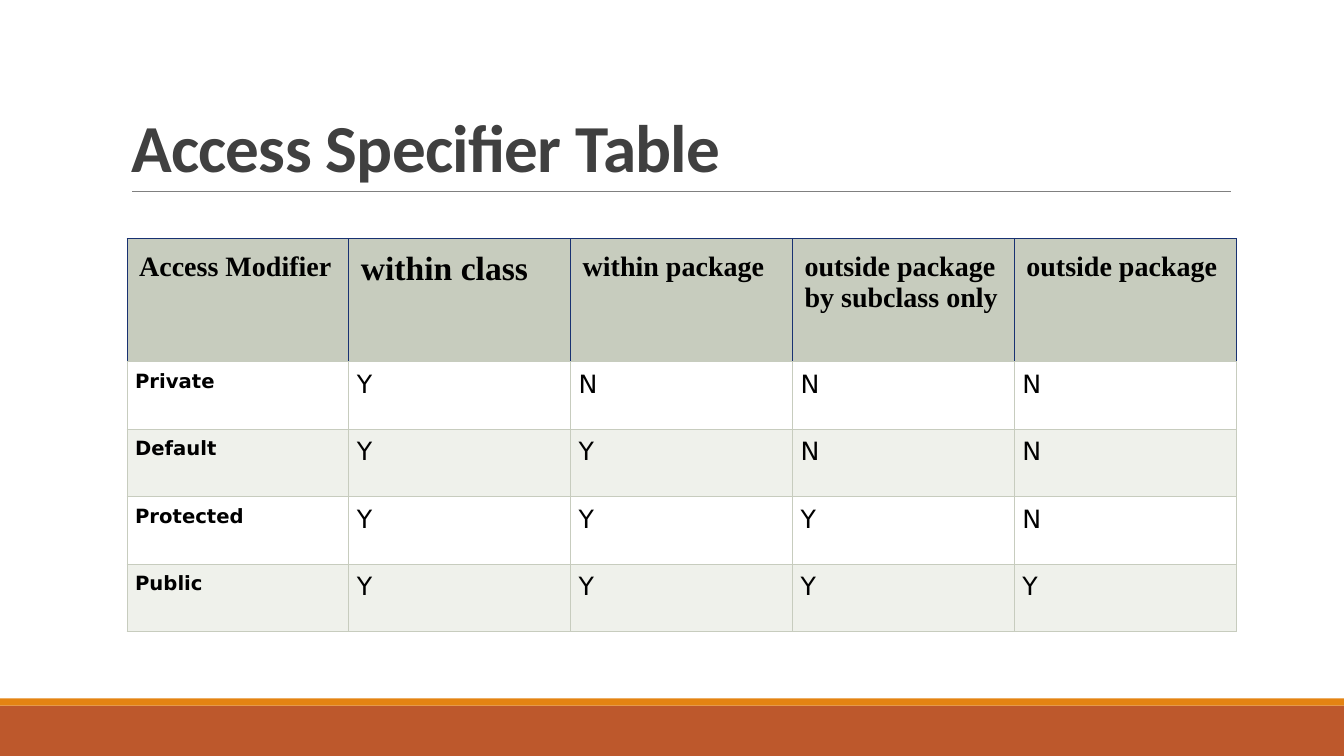
import pptx
import pptx.util
import pptx.dml.color
import pptx.enum.shapes
import pptx.enum.text
import pptx.oxml.ns
import lxml.etree

Inches = pptx.util.Inches
Pt = pptx.util.Pt

TITLE = "Access Specifier Table"
HEADS = [
    ("Access Modifier", 20),
    ("within class", 24),
    ("within package", 20),
    ("outside package by subclass only", 20),
    ("outside package", 20),
]
ROWS = [
    ("Private", "YNNN"),
    ("Default", "YYNN"),
    ("Protected", "YYYN"),
    ("Public", "YYYY"),
]
BANDS = [(7, 0.5, "BD582C"), (6.93, 0.07, "E48312")]
FILLS = ["FFFFFF", "EFF1EB"]
SAGE, NAVY = "C7CCBE", "183171"
WIDE, HIGH = 13.33, 7.5
COL, HEAD, ROW = 2.2, 1.22, 0.67


def color(code):
    return pptx.dml.color.RGBColor.from_string(code)


def add_run(para, text, size, face, code, bold):
    run = para.add_run()
    run.text = text
    font = run.font
    font.size, font.name, font.bold = Pt(size), face, bold
    font.color.rgb = color(code)
    return run


def add_edge(cell, side, code):
    props = cell._tc.get_or_add_tcPr()
    name = pptx.oxml.ns.qn("a:ln" + side)
    line = lxml.etree.SubElement(props, name, w=str(Pt(0.75)))
    fill = lxml.etree.SubElement(line, pptx.oxml.ns.qn("a:solidFill"))
    lxml.etree.SubElement(fill, pptx.oxml.ns.qn("a:srgbClr"), val=code)


def fill_cell(cell, text, size, face, bold, pad, back, edges):
    cell.margin_left = cell.margin_right = Inches(pad)
    cell.margin_top = cell.margin_bottom = Inches(pad)
    for side, code in zip("LRTB", edges):
        add_edge(cell, side, code)
    cell.fill.solid()
    cell.fill.fore_color.rgb = color(back)
    add_run(cell.text_frame.paragraphs[0], text, size, face, "000000", bold)


def add_bands(slide):
    for top, tall, code in BANDS:
        band = slide.shapes.add_shape(
            pptx.enum.shapes.MSO_SHAPE.RECTANGLE,
            0, Inches(top), Inches(WIDE), Inches(tall))
        band.shadow.inherit = False
        band.fill.solid()
        band.fill.fore_color.rgb = color(code)
        band.line.fill.background()


def add_rule(slide):
    rule = slide.shapes.add_connector(
        pptx.enum.shapes.MSO_CONNECTOR.STRAIGHT,
        Inches(1.31), Inches(1.9), Inches(12.21), Inches(1.9))
    rule.line.color.rgb = color("808080")
    rule.line.width = Pt(0.5)
    props = rule._element.spPr
    lxml.etree.SubElement(props, pptx.oxml.ns.qn("a:effectLst"))


def set_title(slide):
    title = slide.shapes.title
    title.left, title.top = Inches(1.2), Inches(0.31)
    title.width, title.height = Inches(11), Inches(1.59)
    frame = title.text_frame
    frame.auto_size = pptx.enum.text.MSO_AUTO_SIZE.NONE
    frame.vertical_anchor = pptx.enum.text.MSO_ANCHOR.BOTTOM
    para = frame.paragraphs[0]
    para.alignment = pptx.enum.text.PP_ALIGN.LEFT
    para.line_spacing = 0.85
    run = add_run(para, TITLE, 48, "Calibri", "404040", True)
    run._r.get_or_add_rPr().set("spc", "-50")


def add_grid(slide):
    cols, rows = len(HEADS), len(ROWS)
    grid = slide.shapes.add_table(
        rows + 1, cols, Inches(1.26), Inches(2.37),
        Inches(COL * cols), Inches(HEAD + ROW * rows)).table
    for col in grid.columns:
        col.width = Inches(COL)
    for num, row in enumerate(grid.rows):
        row.height = Inches(ROW if num else HEAD)
    for num, (text, size) in enumerate(HEADS):
        fill_cell(grid.cell(0, num), text, size, "Times New Roman", True,
                  0.12, SAGE, [NAVY, NAVY, NAVY, SAGE])
    for num, (name, marks) in enumerate(ROWS):
        for pos, text in enumerate([name, *marks]):
            first = pos == 0
            fill_cell(grid.cell(num + 1, pos), text, 14 if first else 18,
                      "DejaVu Sans", first, 0.08, FILLS[num % 2], [SAGE] * 4)


def main():
    deck = pptx.Presentation()
    deck.slide_width, deck.slide_height = Inches(WIDE), Inches(HIGH)
    slide = deck.slides.add_slide(deck.slide_layouts[5])
    add_bands(slide)
    add_rule(slide)
    set_title(slide)
    add_grid(slide)
    deck.save("out.pptx")


if __name__ == "__main__":
    main()
